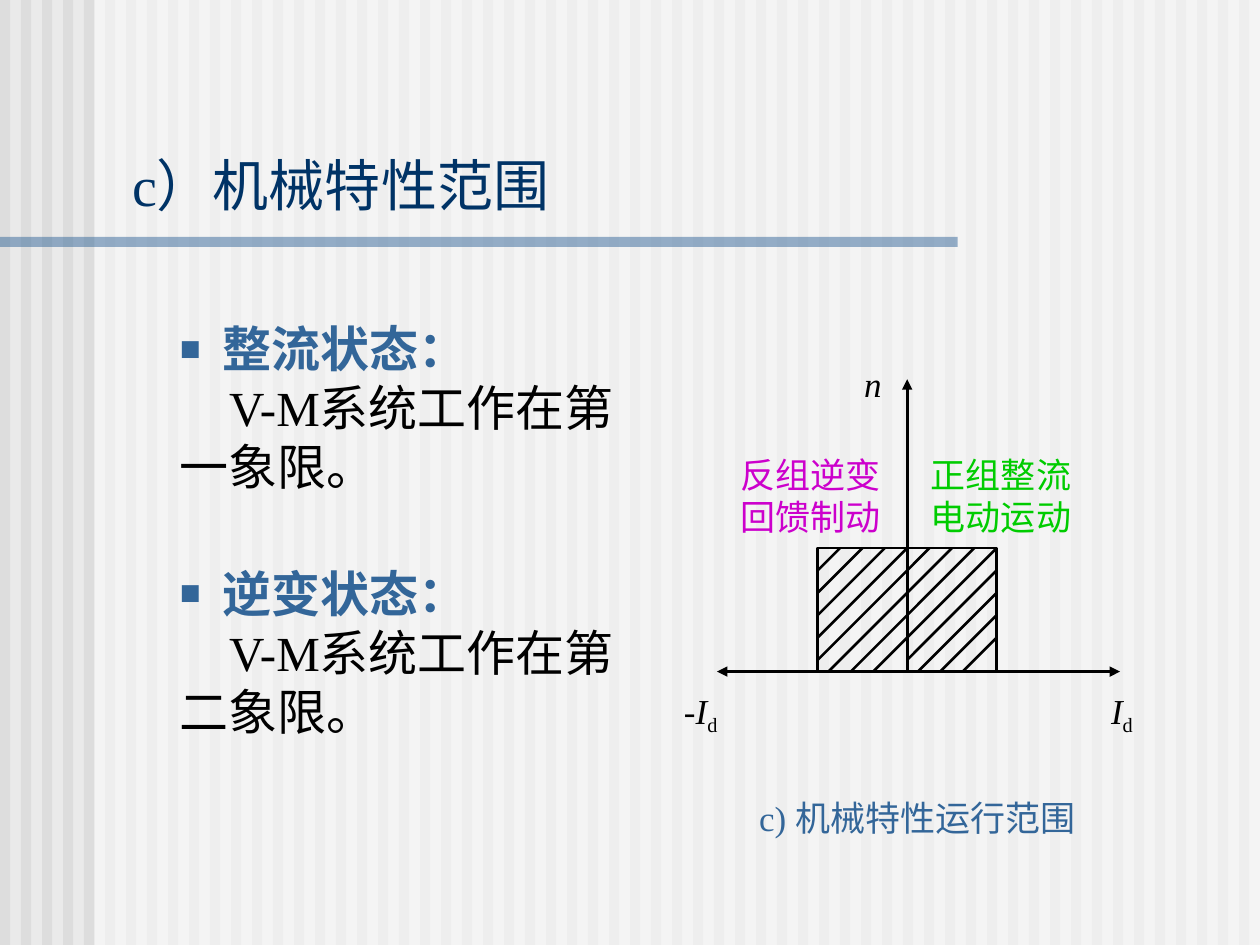
"""Build a slide on the mechanical characteristic range of a V-M system."""
from lxml import etree
from pptx import Presentation
from pptx.dml.color import RGBColor
from pptx.enum.shapes import MSO_CONNECTOR, MSO_SHAPE
from pptx.enum.text import MSO_ANCHOR, PP_ALIGN
from pptx.oxml.ns import qn
from pptx.util import Inches, Pt

BACKGROUND = RGBColor(0xEA, 0xEA, 0xEA)
STRIPE = RGBColor(0xDD, 0xDD, 0xDD)
WHITE = RGBColor(0xFF, 0xFF, 0xFF)
BLACK = RGBColor(0x00, 0x00, 0x00)
BLUE = RGBColor(0x33, 0x66, 0x99)
NAVY = RGBColor(0x00, 0x33, 0x66)
MAGENTA = RGBColor(0xCC, 0x00, 0xCC)
GREEN = RGBColor(0x00, 0xCC, 0x00)
RECTANGLE = MSO_SHAPE.RECTANGLE
STRAIGHT = MSO_CONNECTOR.STRAIGHT
TOP, BOTTOM = MSO_ANCHOR.TOP, MSO_ANCHOR.BOTTOM
LEFT, CENTER = PP_ALIGN.LEFT, PP_ALIGN.CENTER
SERIF = "Times New Roman"

presentation = Presentation()
presentation.slide_width = Inches(10)
presentation.slide_height = Inches(7.5)
slide = presentation.slides.add_slide(presentation.slide_layouts[6])
slide.background.fill.solid()
slide.background.fill.fore_color.rgb = BACKGROUND


def add_box(left, top, width, height, anchor=TOP):
    box = slide.shapes.add_textbox(Inches(left), Inches(top), Inches(width), Inches(height))
    box.text_frame.word_wrap = True
    box.text_frame.vertical_anchor = anchor
    return box.text_frame


def add_text(paragraph, text, *, size=20, color=BLACK, font=SERIF, bold=False,
             italic=False, subscript=False, align=LEFT):
    paragraph.alignment = align
    run = paragraph.add_run()
    run.text = text
    run.font.size = Pt(size)
    run.font.color.rgb = color
    run.font.name = font
    run.font.bold = bold
    run.font.italic = italic
    if subscript:
        run.font._element.set("baseline", "-25000")


bands = [(index / 6, 0, 0.08, 7.5, STRIPE, 100) for index in range(60)]
bands.append((0.75, 0, 9.25, 7.5, WHITE, 50))
bands.append((0, 1.88, 7.6, 0.08, BLUE, 50))
for left, top, width, height, color, opacity in bands:
    band = slide.shapes.add_shape(RECTANGLE, Inches(left), Inches(top), Inches(width), Inches(height))
    band.shadow.inherit = False
    band.line.fill.background()
    band.fill.solid()
    band.fill.fore_color.rgb = color
    if opacity < 100:
        color_element = band._element.spPr.find(f".//{qn('a:srgbClr')}")
        etree.SubElement(color_element, qn("a:alpha"), val=str(opacity * 1000))

title = add_box(0.95, 1.14, 8.93, 0.64, anchor=BOTTOM)
add_text(title.paragraphs[0], "c）机械特性范围", size=32, color=NAVY)

axis_x, axis_y = 7.2, 5.33
area_top, area_width, area_height = 4.35, 0.71, 0.98
hatch_step = area_width / 4
lines = [
    (5.69, axis_y, 8.89, axis_y, ("a:headEnd", "a:tailEnd")),
    (axis_x, axis_y, axis_x, 3.01, ("a:tailEnd",)),
]
for area_left in (axis_x, axis_x - area_width):
    area = slide.shapes.add_shape(
        RECTANGLE, Inches(area_left), Inches(area_top), Inches(area_width), Inches(area_height))
    area.shadow.inherit = False
    area.fill.background()
    area.line.color.rgb = BLACK
    area.line.width = Pt(1.5)
    for index in range(1, 9):
        offset = index * hatch_step
        lines.append((
            area_left + min(offset, area_width), area_top + max(0, offset - area_width),
            area_left + max(0, offset - area_height), area_top + min(offset, area_height), ()))

for start_x, start_y, end_x, end_y, arrowheads in lines:
    line = slide.shapes.add_connector(
        STRAIGHT, Inches(start_x), Inches(start_y), Inches(end_x), Inches(end_y))
    line.line.color.rgb = BLACK
    line.line.width = Pt(1.5)
    for arrowhead in arrowheads:
        etree.SubElement(line.line._get_or_add_ln(), qn(arrowhead), type="triangle")
    etree.SubElement(line._element.spPr, qn("a:effectLst"))

for left, width, symbol in ((8.72, 0.53, "I"), (5.33, 0.71, "-I")):
    current_label = add_box(left, 5.42, width, 0.48).paragraphs[0]
    add_text(current_label, symbol, italic=True)
    add_text(current_label, "d", subscript=True)
add_text(add_box(6.76, 2.83, 0.53, 0.44).paragraphs[0], "n", italic=True)

for left, text, color in ((5.78, "反组逆变回馈制动", MAGENTA), (7.29, "正组整流电动运动", GREEN)):
    quadrant_label = add_box(left, 3.55, 1.43, 0.77)
    add_text(quadrant_label.paragraphs[0], text, color=color, font="Karla")

caption = add_box(5.39, 6.27, 3.78, 0.44)
add_text(caption.paragraphs[0], "c) 机械特性运行范围", color=BLUE, align=CENTER)

body = add_box(1.33, 2.48, 3.68, 3.44)
states = (("整流状态：", "V-M系统工作在第一象限。"), ("逆变状态：", "V-M系统工作在第二象限。"))
for index, (state, description) in enumerate(states):
    heading = body.add_paragraph() if index else body.paragraphs[0]
    if index:
        heading.space_before = Pt(39)
    properties = heading._p.get_or_add_pPr()
    properties.set("marL", str(Inches(0.34)))
    properties.set("indent", str(-Inches(0.34)))
    etree.SubElement(properties, qn("a:buSzPct"), val="71000")
    etree.SubElement(properties, qn("a:buFont"), typeface="Arial")
    etree.SubElement(properties, qn("a:buChar"), char="■")
    add_text(heading, state, size=28, color=BLUE, bold=True)
    detail = body.add_paragraph()
    detail._p.get_or_add_pPr().set("indent", str(Inches(0.39)))
    add_text(detail, description, size=28)

presentation.save("out.pptx")
